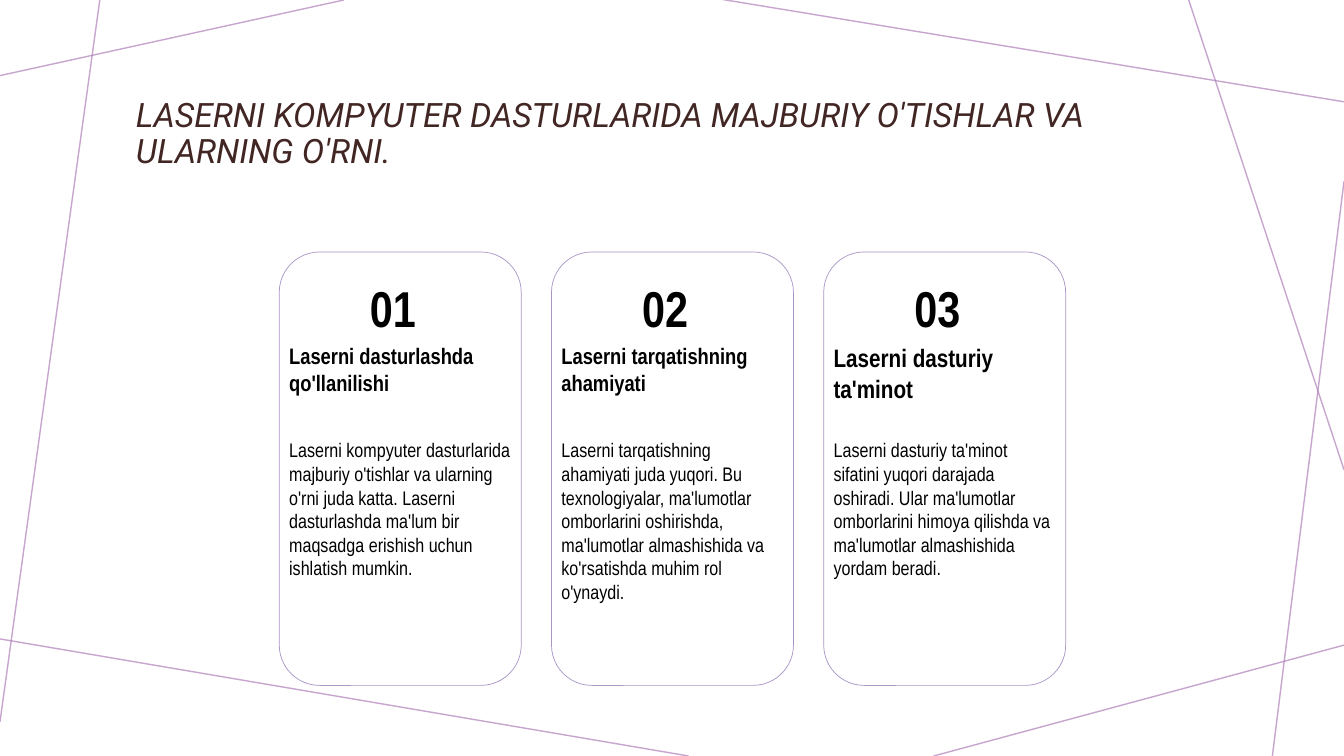
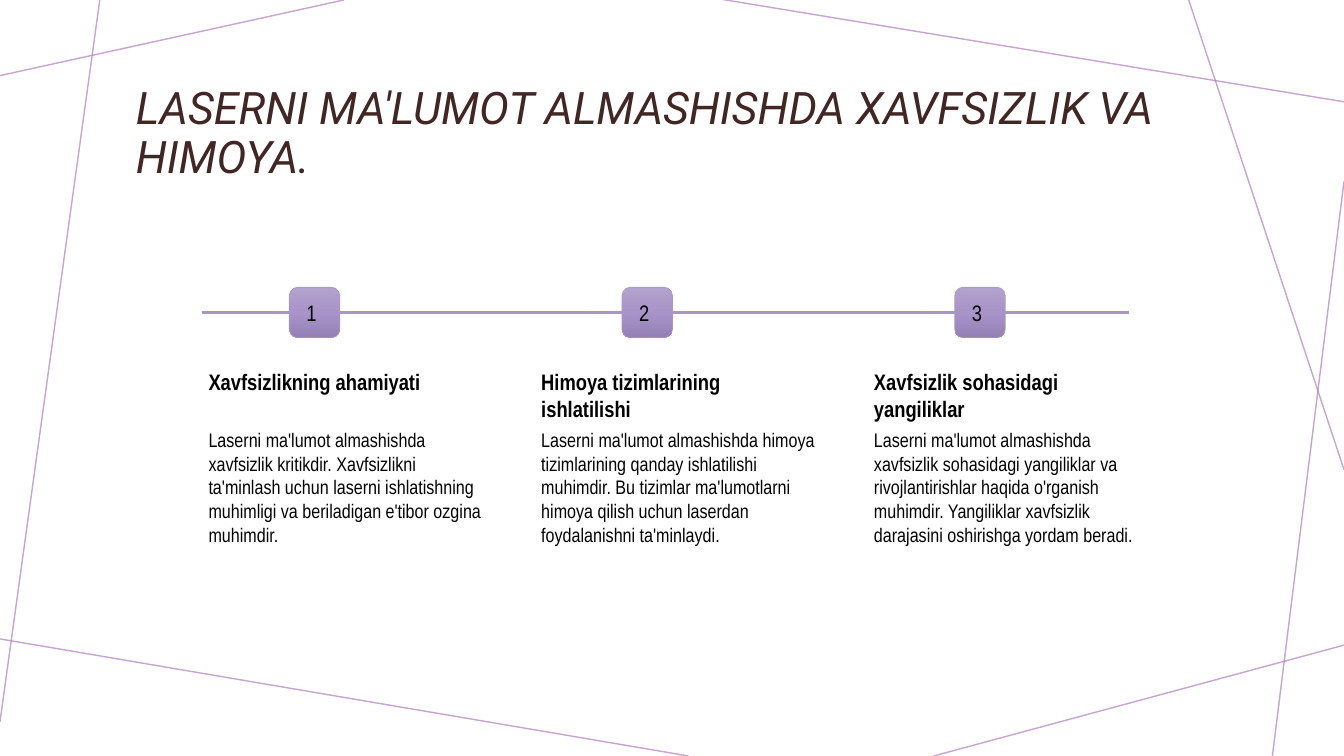
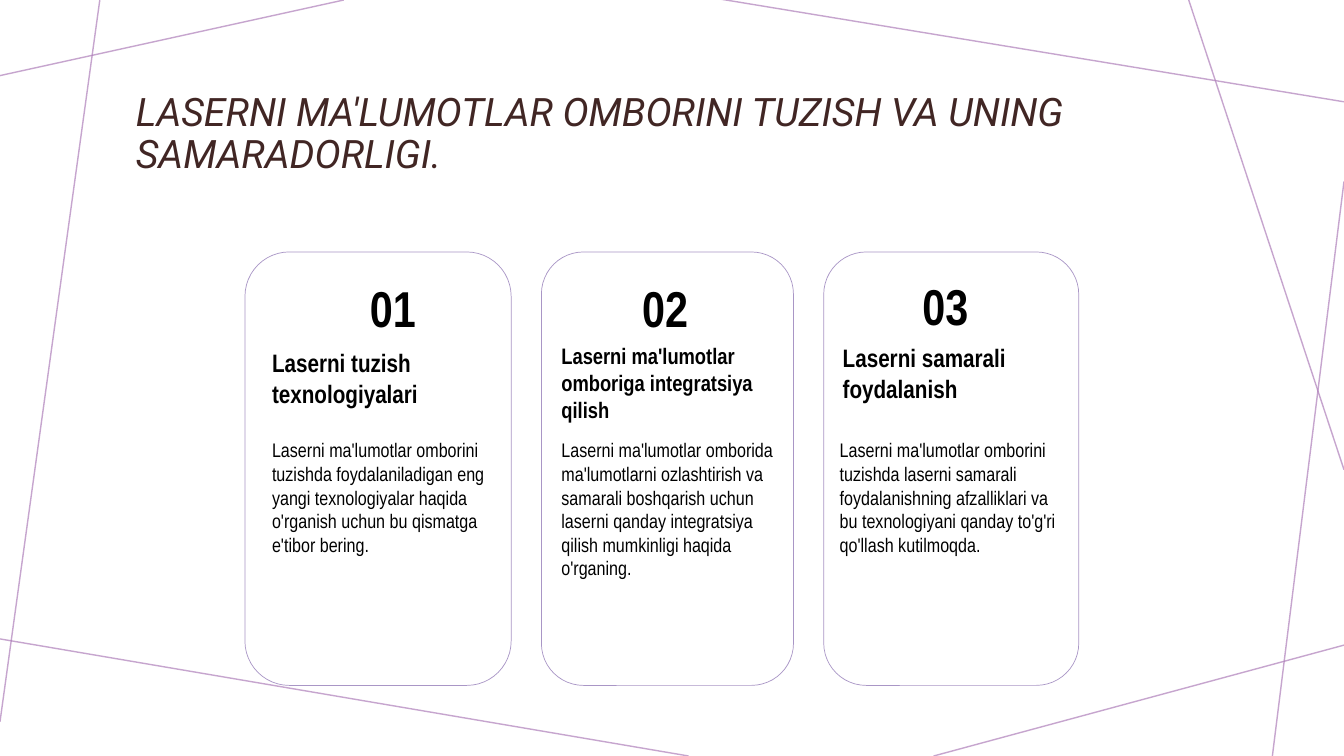
from copy import deepcopy

from pptx import Presentation
from pptx import util as u
from pptx.dml.color import RGBColor
from pptx.enum import shapes, text
from pptx.oxml.ns import qn

# Shared colours, fonts and measures
BLACK = RGBColor(0x00, 0x00, 0x00)
TITLE = RGBColor(0x41, 0x26, 0x24)
FRAME = RGBColor(0xAF, 0x7F, 0xBA)
ACCENT = RGBColor(0xA9, 0x96, 0xC6)
MARKER_STOPS = [
    (0, RGBColor(0xB3, 0xA2, 0xCD)),
    (0.5, RGBColor(0xA8, 0x94, 0xC8)),
    (1, RGBColor(0x95, 0x80, 0xB5)),
]
BODY_FONT, TITLE_FONT = "Arial Narrow", "Roboto"
W, H = 13.33, 7.5
FRAME_LINES = [
    (3.41, 0, 0, 0.75),
    (0.99, 0, 0, 7.16),
    (6.83, H, -0.05, 6.33),
    (W, 6.4, 9.26, H),
    (W, 1.8, 12.62, H),
    (W, 4.66, 11.79, 0),
    (W, 1.01, 7.14, -0.01),
]


def inches(*values):
    return [u.Inches(v) for v in values]


def add_text(s, content, at, size=14, font=BODY_FONT, color=BLACK, bold=False,
             italic=False, spacing=None, grow=True, anchor=text.MSO_ANCHOR.TOP):
    tf = s.shapes.add_textbox(*inches(*at)).text_frame
    tf.word_wrap = True
    tf.vertical_anchor = anchor
    if grow:
        tf.auto_size = text.MSO_AUTO_SIZE.SHAPE_TO_FIT_TEXT
    p = tf.paragraphs[0]
    p.line_spacing = spacing
    r = p.add_run()
    r.text = content
    r.font.name, r.font.size = font, u.Pt(size)
    r.font.bold, r.font.italic = bold, italic
    r.font.color.rgb = color


def add_line(s, ends, color, width, opacity=None):
    line = s.shapes.add_connector(shapes.MSO_CONNECTOR.STRAIGHT, *inches(*ends))
    line.line.color.rgb = color
    line.line.width = u.Pt(width)
    sp_pr = line._element.spPr
    if opacity is not None:
        rgb = sp_pr.find(".//" + qn("a:srgbClr"))
        alpha = rgb.makeelement(qn("a:alpha"), {"val": str(opacity * 1000)})
        rgb.append(alpha)
    sp_pr.append(sp_pr.makeelement(qn("a:effectLst"), {}))


def add_round_rect(s, at, stops=None):
    sp = s.shapes.add_shape(shapes.MSO_SHAPE.ROUNDED_RECTANGLE, *inches(*at))
    sp.shadow.inherit = False
    sp.line.color.rgb = ACCENT
    sp.line.width = u.Pt(0.5)
    if stops is None:
        sp.fill.background()
        return
    sp.fill.gradient()
    sp.fill.gradient_angle = 270
    gs_list = sp._element.spPr.find(".//" + qn("a:gsLst"))
    while len(gs_list) < len(stops):
        gs_list.append(deepcopy(gs_list[0]))
    for stop, (position, color) in zip(sp.fill.gradient_stops, stops):
        stop.position = position
        stop.color.rgb = color


def add_slide(prs, title, title_size):
    s = prs.slides.add_slide(prs.slide_layouts[6])
    for ends in FRAME_LINES:
        add_line(s, ends, FRAME, 1, opacity=70)
    add_text(s, title, (1.25, 0.58, 10.83, 1.51), size=title_size, font=TITLE_FONT,
             color=TITLE, italic=True, spacing=0.9, grow=False,
             anchor=text.MSO_ANCHOR.MIDDLE)
    return s


def add_card(s, number, heading, body, left, width=2.4, number_at=None,
             head_at=None, head_size=16, body_left=None):
    """Outlined card; its texts start at the card's left edge unless placed."""
    number_left, number_top = number_at or (left + 0.8, 2.7)
    head_left, head_top = head_at or (left, 3.35)
    body_left = left if body_left is None else body_left
    add_round_rect(s, (left, 2.5, width, 4.3))
    add_text(s, number, (number_left, number_top, 0.84, 0.71), size=36, bold=True)
    add_text(s, heading, (head_left, head_top, 2.4, 0.5), size=head_size, bold=True)
    add_text(s, body, (body_left, 4.3, 2.4, 3))


def add_step(s, number, heading, body, left):
    add_round_rect(s, (left + 0.9, 2.85, 0.5, 0.5), MARKER_STOPS)
    add_text(s, number, (left + 0.97, 2.92, 0.35, 0.35), size=16)
    add_text(s, heading, (left, 3.6, 2.7, 0.3), size=16, bold=True)
    add_text(s, body, (left, 4.2, 3, 2))


def build_programs(prs):
    s = add_slide(prs, "LASERNI KOMPYUTER DASTURLARIDA MAJBURIY O'TISHLAR VA "
                       "ULARNING O'RNI.", 24)
    cards = [
        ("Laserni dasturlashda qo'llanilishi", 16,
         "Laserni kompyuter dasturlarida majburiy o'tishlar va ularning o'rni juda "
         "katta. Laserni dasturlashda ma'lum bir maqsadga erishish uchun ishlatish "
         "mumkin."),
        ("Laserni tarqatishning ahamiyati", 16,
         "Laserni tarqatishning ahamiyati juda yuqori. Bu texnologiyalar, "
         "ma'lumotlar omborlarini oshirishda, ma'lumotlar almashishida va "
         "ko'rsatishda muhim rol o'ynaydi."),
        ("Laserni dasturiy ta'minot", 18,
         "Laserni dasturiy ta'minot sifatini yuqori darajada oshiradi. Ular "
         "ma'lumotlar omborlarini himoya qilishda va ma'lumotlar almashishida "
         "yordam beradi."),
    ]
    for i, (heading, size, body) in enumerate(cards):
        add_card(s, f"{i + 1:02}", heading, body, 2.77 + 2.7 * i, head_size=size)


def build_security(prs):
    s = add_slide(prs, "LASERNI MA'LUMOT ALMASHISHDA XAVFSIZLIK VA HIMOYA.", 32)
    add_line(s, (2, 3.1, 11.2, 3.1), ACCENT, 2)
    steps = [
        ("Xavfsizlikning ahamiyati",
         "Laserni ma'lumot almashishda xavfsizlik kritikdir. Xavfsizlikni "
         "ta'minlash uchun laserni ishlatishning muhimligi va beriladigan e'tibor "
         "ozgina muhimdir."),
        ("Himoya tizimlarining ishlatilishi",
         "Laserni ma'lumot almashishda himoya tizimlarining qanday ishlatilishi "
         "muhimdir. Bu tizimlar ma'lumotlarni himoya qilish uchun laserdan "
         "foydalanishni ta'minlaydi."),
        ("Xavfsizlik sohasidagi yangiliklar",
         "Laserni ma'lumot almashishda xavfsizlik sohasidagi yangiliklar va "
         "rivojlantirishlar haqida o'rganish muhimdir. Yangiliklar xavfsizlik "
         "darajasini oshirishga yordam beradi."),
    ]
    for i, (heading, body) in enumerate(steps):
        add_step(s, str(i + 1), heading, body, 1.97 + 3.3 * i)


def build_database(prs):
    s = add_slide(prs, "LASERNI MA'LUMOTLAR OMBORINI TUZISH VA UNING "
                       "SAMARADORLIGI.", 28)
    add_card(s, "01", "Laserni tuzish texnologiyalari",
             "Laserni ma'lumotlar omborini tuzishda foydalaniladigan eng yangi "
             "texnologiyalar haqida o'rganish uchun bu qismatga e'tibor bering.",
             2.43, 2.64, number_at=(3.57, 2.7), head_at=(2.6, 3.4), head_size=18,
             body_left=2.6)
    add_card(s, "02", "Laserni ma'lumotlar omboriga integratsiya qilish",
             "Laserni ma'lumotlar omborida ma'lumotlarni ozlashtirish va samarali "
             "boshqarish uchun laserni qanday integratsiya qilish mumkinligi haqida "
             "o'rganing.",
             5.37, 2.5, number_at=(6.27, 2.7), head_at=(5.47, 3.35), body_left=5.47)
    add_card(s, "03", "Laserni samarali foydalanish",
             "Laserni ma'lumotlar omborini tuzishda laserni samarali "
             "foydalanishning afzalliklari va bu texnologiyani qanday to'g'ri "
             "qo'llash kutilmoqda.",
             8.17, 2.53, number_at=(9.05, 2.68), head_at=(8.26, 3.35), head_size=18,
             body_left=8.23)


def main():
    prs = Presentation()
    prs.slide_width, prs.slide_height = inches(W, H)
    build_programs(prs)
    build_security(prs)
    build_database(prs)
    prs.save("out.pptx")


if __name__ == "__main__":
    main()
